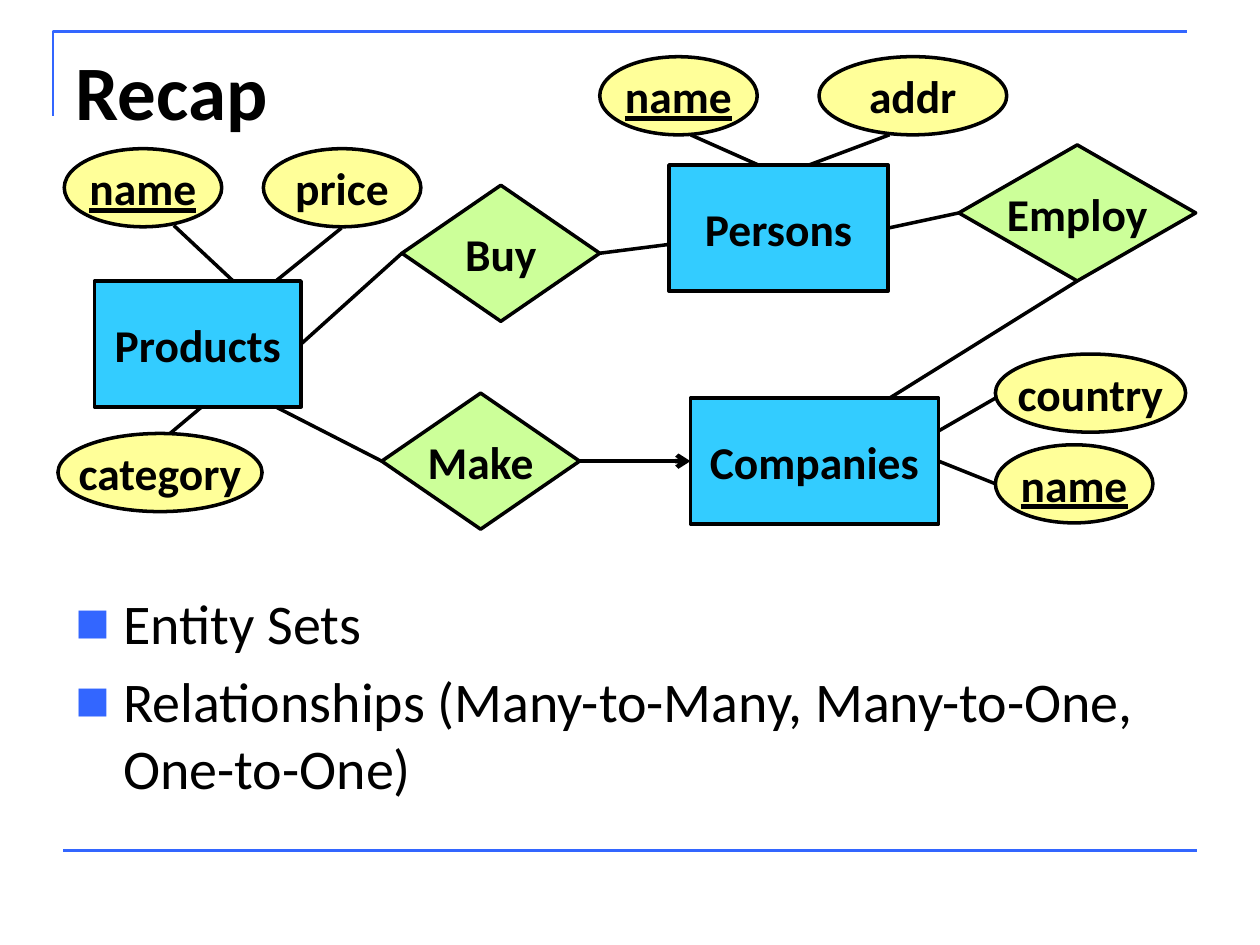
from dataclasses import dataclass

from lxml.etree import SubElement
from pptx import Presentation
from pptx.dml.color import RGBColor
from pptx.enum.shapes import MSO_CONNECTOR, MSO_SHAPE
from pptx.enum.text import MSO_ANCHOR, PP_ALIGN
from pptx.oxml.ns import qn
from pptx.util import Inches, Pt


@dataclass(frozen=True)
class Theme:
    font: str = "Calibri"
    ink: RGBColor = RGBColor.from_string("000000")
    accent: RGBColor = RGBColor.from_string("3366FF")
    entity: RGBColor = RGBColor.from_string("33CCFF")
    attribute: RGBColor = RGBColor.from_string("FFFF99")
    relationship: RGBColor = RGBColor.from_string("CCFF99")
    title_size: int = 44
    body_size: int = 32
    label_size: int = 26
    rule_width: float = 1.5
    outline_width: float = 2
    arrow_width: float = 2.5


THEME = Theme()
TOP, LEFT, BOTTOM, RIGHT = range(4)

ENTITIES = {
    "Companies": (5.48, 3.16, 1.97),
    "Persons": (5.31, 1.31, 1.74),
    "Products": (0.75, 2.23, 1.64),
}
RELATIONSHIPS = {
    "Buy": (3.19, 1.47, 1.57),
    "Employ": (7.61, 1.15, 1.88),
    "Make": (3.03, 3.12, 1.57),
}
ATTRIBUTES = [
    ("country", 7.9, 2.81, 1.51, False),
    ("name", 7.9, 3.53, 1.25, True),
    ("addr", 6.5, 0.45, 1.49, False),
    ("name", 4.76, 0.45, 1.25, True),
    ("name", 0.51, 1.18, 1.25, True),
    ("category", 0.46, 3.44, 1.62, False),
    ("price", 2.09, 1.18, 1.25, False),
]
LINKS = [
    ((7.9, 3.84), ("Companies", RIGHT)),
    ((7.9, 3.16), (7.45, 3.42)),
    ((5.48, 1.07), (6.02, 1.31)),
    ((7.06, 1.07), (6.42, 1.31)),
    ((1.38, 1.79), (1.85, 2.23)),
    ((2.71, 1.81), (2.19, 2.23)),
    ((1.35, 3.44), (1.6, 3.23)),
    (("Buy", LEFT), ("Products", RIGHT)),
    ((7.06, 3.16), ("Employ", BOTTOM)),
    (("Buy", RIGHT), (5.31, 1.94)),
    (("Make", LEFT), (2.19, 3.23)),
    (("Employ", LEFT), ("Persons", RIGHT)),
]
BULLETS = [
    "Entity Sets",
    "Relationships (Many-to-Many, Many-to-One, One-to-One)",
]


def add_run(paragraph, text, size, bold=False, underline=None):
    run = paragraph.add_run()
    run.text = text
    run.font.name = THEME.font
    run.font.size = Pt(size)
    run.font.bold = bold
    run.font.underline = underline
    run.font.color.rgb = THEME.ink


def add_text_box(slide, left, top, width, height):
    box = slide.shapes.add_textbox(Inches(left), Inches(top), Inches(width), Inches(height))
    box.text_frame.word_wrap = True
    return box.text_frame


def add_node(slide, kind, text, left, top, width, height, fill, underline=None):
    shape = slide.shapes.add_shape(
        kind, Inches(left), Inches(top), Inches(width), Inches(height)
    )
    shape.shadow.inherit = False
    shape.fill.solid()
    shape.fill.fore_color.rgb = fill
    shape.line.color.rgb = THEME.ink
    shape.line.width = Pt(THEME.outline_width)
    frame = shape.text_frame
    frame.word_wrap = False
    frame.vertical_anchor = MSO_ANCHOR.MIDDLE
    paragraph = frame.paragraphs[0]
    paragraph.alignment = PP_ALIGN.CENTER
    add_run(paragraph, text, THEME.label_size, bold=True, underline=underline)
    return shape


def add_line(slide, start, end, color, width):
    points = [Inches(value) for value in (*start, *end)]
    connector = slide.shapes.add_connector(MSO_CONNECTOR.STRAIGHT, *points)
    connector.line.color.rgb = color
    connector.line.width = Pt(width)
    SubElement(connector._element.spPr, qn("a:effectLst"))
    return connector


def add_link(slide, nodes, start, end, width=THEME.outline_width):
    joined_start, joined_end = start[0] in nodes, end[0] in nodes
    connector = add_line(
        slide,
        (0, 0) if joined_start else start,
        (0, 0) if joined_end else end,
        THEME.ink,
        width,
    )
    if joined_start:
        connector.begin_connect(nodes[start[0]], start[1])
    if joined_end:
        connector.end_connect(nodes[end[0]], end[1])
    return connector


def add_arrow(slide, nodes, start, end):
    connector = add_link(slide, nodes, start, end, THEME.arrow_width)
    SubElement(connector.line._get_or_add_ln(), qn("a:tailEnd"), type="arrow")


def add_frame(slide):
    builder = slide.shapes.build_freeform(Inches(0.42), Inches(0.92))
    builder.add_line_segments(
        [(Inches(0.42), Inches(0.25)), (Inches(9.42), Inches(0.25))], close=False
    )
    corner = builder.convert_to_shape()
    corner.shadow.inherit = False
    corner.fill.background()
    corner.line.color.rgb = THEME.accent
    corner.line.width = Pt(THEME.rule_width)
    add_line(slide, (0.5, 6.75), (9.5, 6.75), THEME.accent, THEME.rule_width)


def add_title(slide, text):
    frame = add_text_box(slide, 0.5, 0.3, 9, 1.25)
    add_run(frame.paragraphs[0], text, THEME.title_size, bold=True)


def add_bullets(slide, items):
    frame = add_text_box(slide, 0.5, 4.62, 9, 2.09)
    for index, text in enumerate(items):
        paragraph = frame.add_paragraph() if index else frame.paragraphs[0]
        if index:
            paragraph.space_before = Pt(THEME.body_size * 0.2)
        properties = paragraph._p.get_or_add_pPr()
        properties.set("marL", str(Inches(0.38)))
        properties.set("indent", str(-Inches(0.38)))
        color = SubElement(properties, qn("a:buClr"))
        SubElement(color, qn("a:srgbClr"), val=str(THEME.accent))
        SubElement(properties, qn("a:buSzPct"), val="65000")
        SubElement(properties, qn("a:buFont"), typeface=THEME.font)
        SubElement(properties, qn("a:buChar"), char="■")
        add_run(paragraph, text, THEME.body_size)


def add_diagram(slide):
    nodes = {}
    for name, place in ENTITIES.items():
        nodes[name] = add_node(slide, MSO_SHAPE.RECTANGLE, name, *place, 1, THEME.entity)
    for name, place in RELATIONSHIPS.items():
        nodes[name] = add_node(
            slide, MSO_SHAPE.DIAMOND, name, *place, 1.08, THEME.relationship
        )
    for name, left, top, width, is_key in ATTRIBUTES:
        add_node(
            slide, MSO_SHAPE.OVAL, name, left, top, width, 0.62,
            THEME.attribute, underline=is_key or None,
        )
    for start, end in LINKS:
        add_link(slide, nodes, start, end)
    add_arrow(slide, nodes, ("Make", RIGHT), ("Companies", LEFT))


def main():
    presentation = Presentation()
    presentation.slide_width = Inches(10)
    presentation.slide_height = Inches(7.5)
    slide = presentation.slides.add_slide(presentation.slide_layouts[6])
    add_frame(slide)
    add_title(slide, "Recap")
    add_diagram(slide)
    add_bullets(slide, BULLETS)
    presentation.save("out.pptx")


if __name__ == "__main__":
    main()
